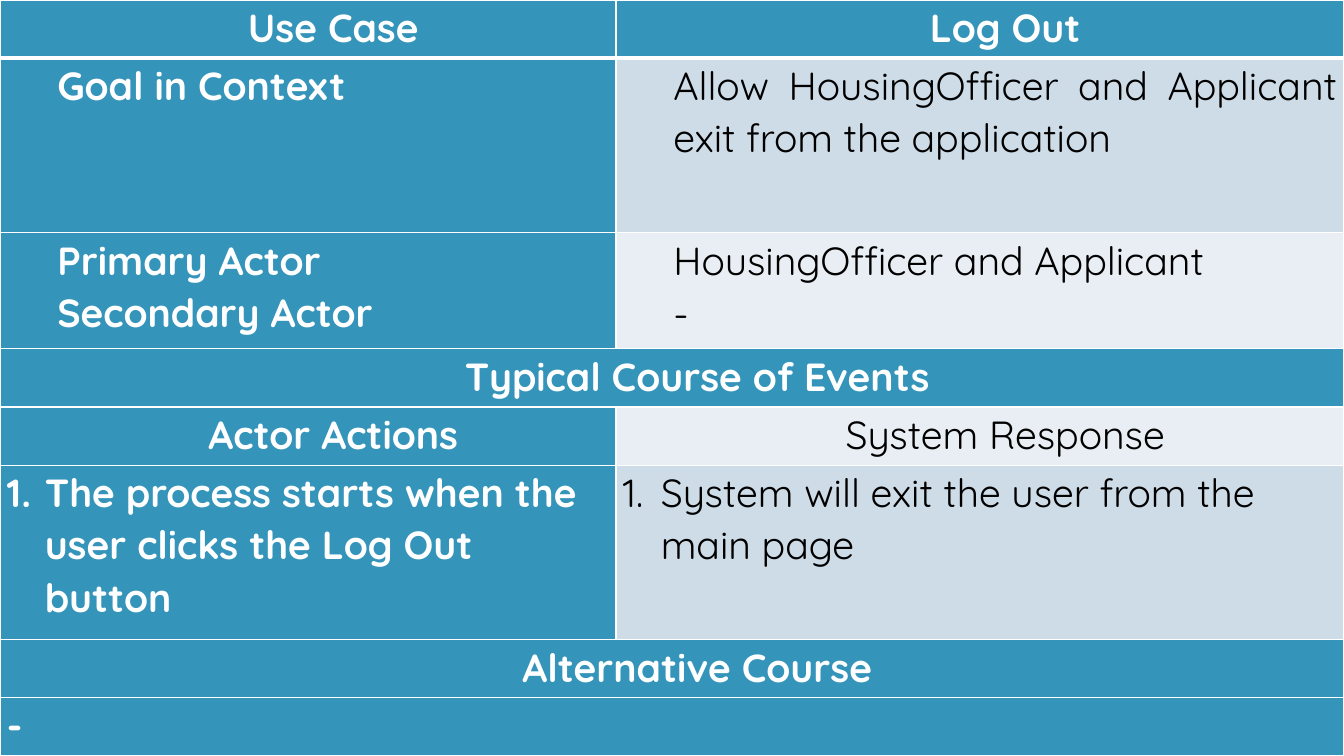
from lxml.etree import SubElement
from pptx import Presentation
from pptx.dml.color import RGBColor as RGB
from pptx.enum.text import PP_ALIGN as AL
from pptx.oxml.ns import qn
from pptx.util import Pt

COLORS = {
    "back": "373545", "head": "3494BA", "odd": "CEDCE7", "even": "E8EEF3",
    "white": "FFFFFF", "black": "000000",
}

# Paragraph kinds: alignment, left margin, first-line indent
KINDS = {
    "mid": (AL.CENTER, 36, 0),
    "just": (AL.JUSTIFY, 36, 0),
    "num": (AL.LEFT, 27, -27),
    "left": (AL.LEFT, 0, 0),
}

# Height in row units, paragraph kind, cell texts (one text spans both columns)
ROWS = [
    (1, "mid", ["Use Case", "Log Out"]),
    (3, "just", ["Goal in Context",
                 "Allow HousingOfficer and Applicant exit from the application"]),
    (2, "just", ["Primary Actor\nSecondary Actor", "HousingOfficer and Applicant\n-"]),
    (1, "mid", ["Typical Course of Events"]),
    (1, "mid", ["Actor Actions", "System Response"]),
    (3, "num", ["The process starts when the user clicks the Log Out button",
                "System will exit the user from the main page"]),
    (1, "mid", ["Alternative Course"]),
    (1, "left", ["-"]),
]


def rule(cell, row):
    """Draw the white borders, thick below the header row."""
    props = cell._tc.get_or_add_tcPr()
    for side in "LRTB":
        thick = (row, side) in ((0, "B"), (1, "T"))
        line = SubElement(props, qn("a:ln" + side), w=str(Pt(3 if thick else 1)))
        fill = SubElement(line, qn("a:solidFill"))
        SubElement(fill, qn("a:srgbClr"), val=COLORS["white"])


def write(cell, text, kind, bold, color):
    """Fill a cell with one paragraph per line of text."""
    align, left, indent = KINDS[kind]
    cell.text = text
    for para in cell.text_frame.paragraphs:
        props = para._p.get_or_add_pPr()
        props.set("marL", str(Pt(left)))
        props.set("indent", str(Pt(indent)))
        if kind == "num":
            SubElement(props, qn("a:buFont"), typeface="+mj-lt")
            SubElement(props, qn("a:buAutoNum"), type="arabicPeriod")
        para.alignment = align
        para.line_spacing = 1.07
        font = para.runs[0].font
        for key, val in {"name": "Quicksand", "size": Pt(28), "bold": bold}.items():
            setattr(font, key, val)
        font.color.rgb = RGB.from_string(COLORS[color])


# Slide
deck = Presentation()
deck.slide_width, deck.slide_height = Pt(960), Pt(540)
slide = deck.slides.add_slide(deck.slide_layouts[6])
back = slide.background.fill
back.solid()
back.fore_color.rgb = RGB.from_string(COLORS["back"])

# Table grid
table = slide.shapes.add_table(len(ROWS), 2, 0, 0, Pt(960), Pt(540)).table
for col, width in zip(table.columns, (440, 520)):
    col.width = Pt(width)
unit = 540 / sum(size for size, kind, texts in ROWS)

# Table cells
for row, (size, kind, texts) in enumerate(ROWS):
    table.rows[row].height = Pt(size * unit)
    if len(texts) == 1:
        table.cell(row, 0).merge(table.cell(row, 1))
    for col in range(2):
        cell = table.cell(row, col)
        for side, gap in {"left": 5, "right": 5, "top": 0, "bottom": 0}.items():
            setattr(cell, "margin_" + side, Pt(gap))
        rule(cell, row)
        head = row == 0 or col == 0 or len(texts) == 1
        shade = "head" if head else "odd" if row % 2 else "even"
        cell.fill.solid()
        cell.fill.fore_color.rgb = RGB.from_string(COLORS[shade])
        if col < len(texts):
            write(cell, texts[col], kind, head, "white" if head else "black")

deck.save("out.pptx")
